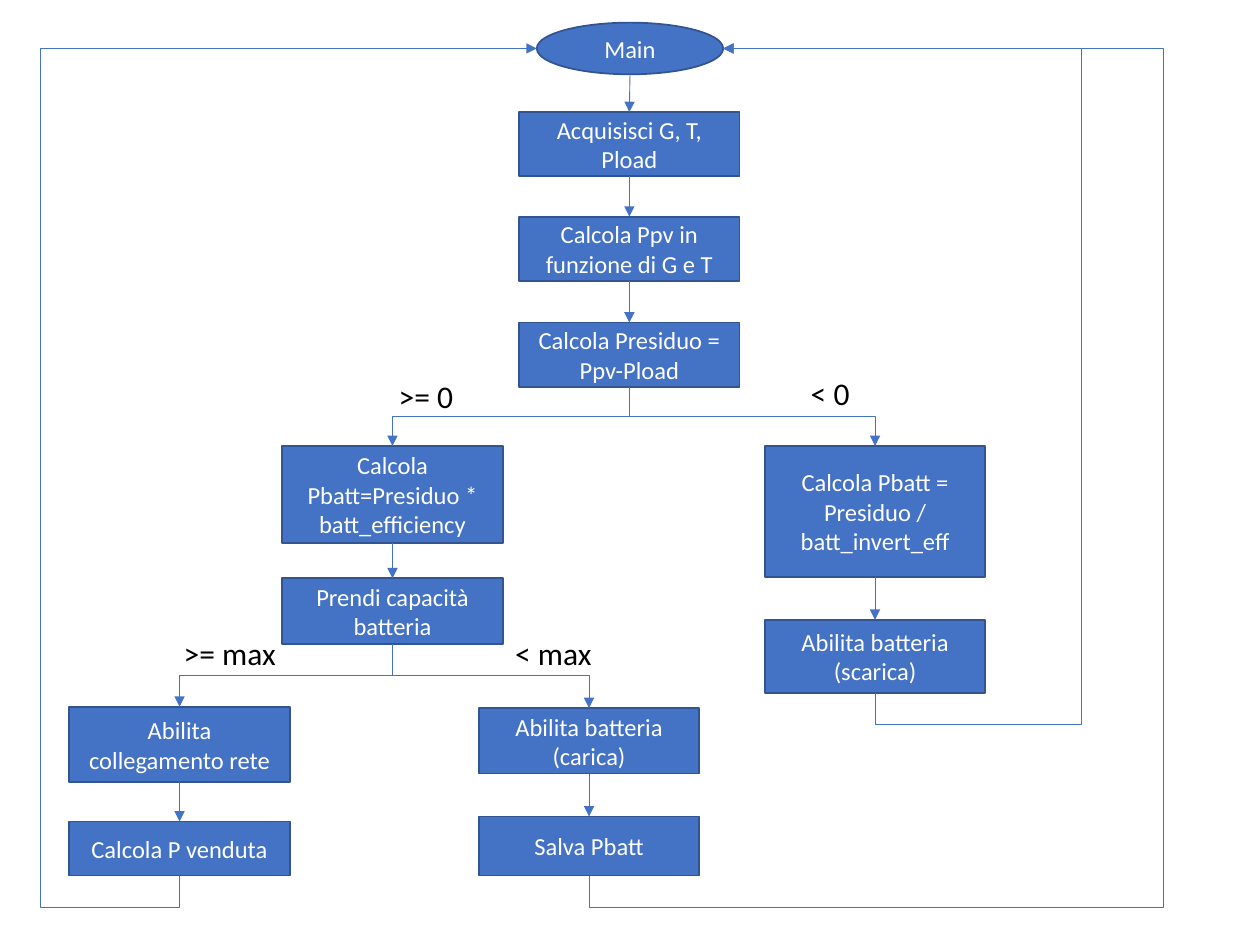
import pptx
import pptx.util
import pptx.dml.color
import pptx.enum.shapes
import pptx.enum.text
import pptx.oxml
import pptx.oxml.ns

WIDE, HIGH = 10, 7.5
BOX = 1.75
DROP = 0.25
FONT = "Calibri"
BLUE, EDGE, WHITE, BLACK = "4472C4", "325491", "FFFFFF", "000000"
TOP, LEFT, BASE, RIGHT = range(4)

COLS = {"sell": 0.55, "plus": 2.24, "store": 3.8, "main": 4.12, "minus": 6.07}
STEPS = [
    ("read", "main", 0.89, 0.51, "Acquisisci G, T, Pload"),
    ("solar", "main", 1.72, 0.51, "Calcola Ppv in funzione di G e T"),
    ("rest", "main", 2.56, 0.51, "Calcola Presiduo = Ppv-Pload"),
    ("gain", "plus", 3.54, 0.77, "Calcola Pbatt=Presiduo * batt_efficiency"),
    ("level", "plus", 4.59, 0.52, "Prendi capacità batteria"),
    ("grid", "sell", 5.61, 0.6, "Abilita collegamento rete"),
    ("charge", "store", 5.62, 0.52, "Abilita batteria (carica)"),
    ("save", "store", 6.48, 0.47, "Salva Pbatt"),
    ("loss", "minus", 3.54, 1.04, "Calcola Pbatt = Presiduo / batt_invert_eff"),
    ("drain", "minus", 4.92, 0.58, "Abilita batteria (scarica)"),
    ("sold", "sell", 6.52, 0.43, "Calcola P venduta"),
]
FLOWS = [
    ("start", "read"), ("read", "solar"), ("solar", "rest"),
    ("gain", "level"), ("loss", "drain"), ("grid", "sold"), ("charge", "save"),
]
FORKS = [("rest", "gain"), ("rest", "loss"), ("level", "grid"), ("level", "charge")]
LOOPS = [("sold", LEFT, 0.32), ("save", RIGHT, 9.23), ("drain", RIGHT, 8.58)]
LABELS = [
    (" >= 0", 3.01, 2.94, 0.7), (" < 0", 6.28, 2.92, 0.57),
    (">= max", 1.36, 4.98, 0.94), ("< max", 3.99, 4.98, 0.81),
]

inch = pptx.util.Inches
kinds = pptx.enum.shapes.MSO_SHAPE
links = pptx.enum.shapes.MSO_CONNECTOR
qn = pptx.oxml.ns.qn

deck = pptx.Presentation()
deck.slide_width, deck.slide_height = inch(WIDE), inch(HIGH)
slide = deck.slides.add_slide(deck.slide_layouts[6])
nodes = {}


def paint(code):
    return pptx.dml.color.RGBColor.from_string(code)


def style(frame, size, code):
    for part in frame.paragraphs:
        for run in part.runs:
            run.font.size = pptx.util.Pt(size)
            run.font.name = FONT
            run.font.color.rgb = paint(code)


def add_node(name, kind, left, top, width, height, text):
    node = slide.shapes.add_shape(kind, *map(inch, (left, top, width, height)))
    node.shadow.inherit = False
    node.fill.solid()
    node.fill.fore_color.rgb = paint(BLUE)
    node.line.color.rgb = paint(EDGE)
    node.line.width = pptx.util.Pt(1)
    frame = node.text_frame
    frame.text = text
    frame.word_wrap = True
    frame.vertical_anchor = pptx.enum.text.MSO_ANCHOR.MIDDLE
    frame.paragraphs[0].alignment = pptx.enum.text.PP_ALIGN.CENTER
    style(frame, 14, WHITE)
    nodes[name] = node


def link(kind, first, last, side=TOP):
    wire = slide.shapes.add_connector(kind, 0, 0, 0, 0)
    wire.begin_connect(nodes[first], BASE)
    wire.end_connect(nodes[last], side)
    wire.line.color.rgb = paint(BLUE)
    wire.line.width = pptx.util.Pt(0.5)
    props = wire._element.spPr
    pptx.oxml.ns  # namespace helpers
    tip = props.find(qn("a:ln")).makeelement(qn("a:tailEnd"), {"type": "triangle"})
    props.find(qn("a:ln")).append(tip)
    props.append(props.makeelement(qn("a:effectLst"), {}))
    for tag, name in (("a:stCxn", first), ("a:endCxn", last)):
        if name == "start":
            joint = next(wire._element.iter(qn(tag)))
            joint.set("idx", str(2 * int(joint.get("idx"))))
    return wire


def bend(wire, preset, shares):
    x1, y1, x2, y2 = wire.begin_x, wire.begin_y, wire.end_x, wire.end_y
    long, across = abs(y2 - y1), abs(x2 - x1)
    down, right = y2 > y1, x2 > x1
    wire.left = (x1 + x2 - long) // 2
    wire.top = (y1 + y2 - across) // 2
    wire.width, wire.height = long, across
    props = wire._element.spPr
    frame = props.find(qn("a:xfrm"))
    for key in ("flipH", "flipV"):
        frame.attrib.pop(key, None)
    frame.set("rot", str((270 if down and right else 90) * 60000))
    if right or not down:
        frame.set("flipH", "1")
    if right and not down:
        frame.set("flipV", "1")
    shape = props.find(qn("a:prstGeom"))
    shape.set("prst", preset)
    guides = shape.find(qn("a:avLst"))
    for spot, share in enumerate(shares, 1):
        rule = {"name": f"adj{spot}", "fmla": f"val {round(share * 100000)}"}
        guides.append(guides.makeelement(qn("a:gd"), rule))


add_node("start", kinds.OVAL, 4.26, 0.18, 1.48, 0.41, "Main")
for name, col, top, height, text in STEPS:
    add_node(name, kinds.RECTANGLE, COLS[col], top, BOX, height, text)

for first, last in FLOWS:
    link(links.STRAIGHT, first, last)

for first, last in FORKS:
    bend(link(links.ELBOW, first, last), "bentConnector3", [0.5])

for first, side, lane in LOOPS:
    wire = link(links.ELBOW, first, "start", side)
    rise = wire.begin_y - wire.end_y
    reach = (inch(lane) - wire.begin_x) / (wire.end_x - wire.begin_x)
    bend(wire, "bentConnector4", [-inch(DROP) / rise, reach])

for text, left, top, width in LABELS:
    label = slide.shapes.add_textbox(*map(inch, (left, top, width, 0.4)))
    label.text_frame.text = text
    label.text_frame.word_wrap = False
    label.text_frame.auto_size = pptx.enum.text.MSO_AUTO_SIZE.SHAPE_TO_FIT_TEXT
    style(label.text_frame, 18, BLACK)

deck.save("out.pptx")
